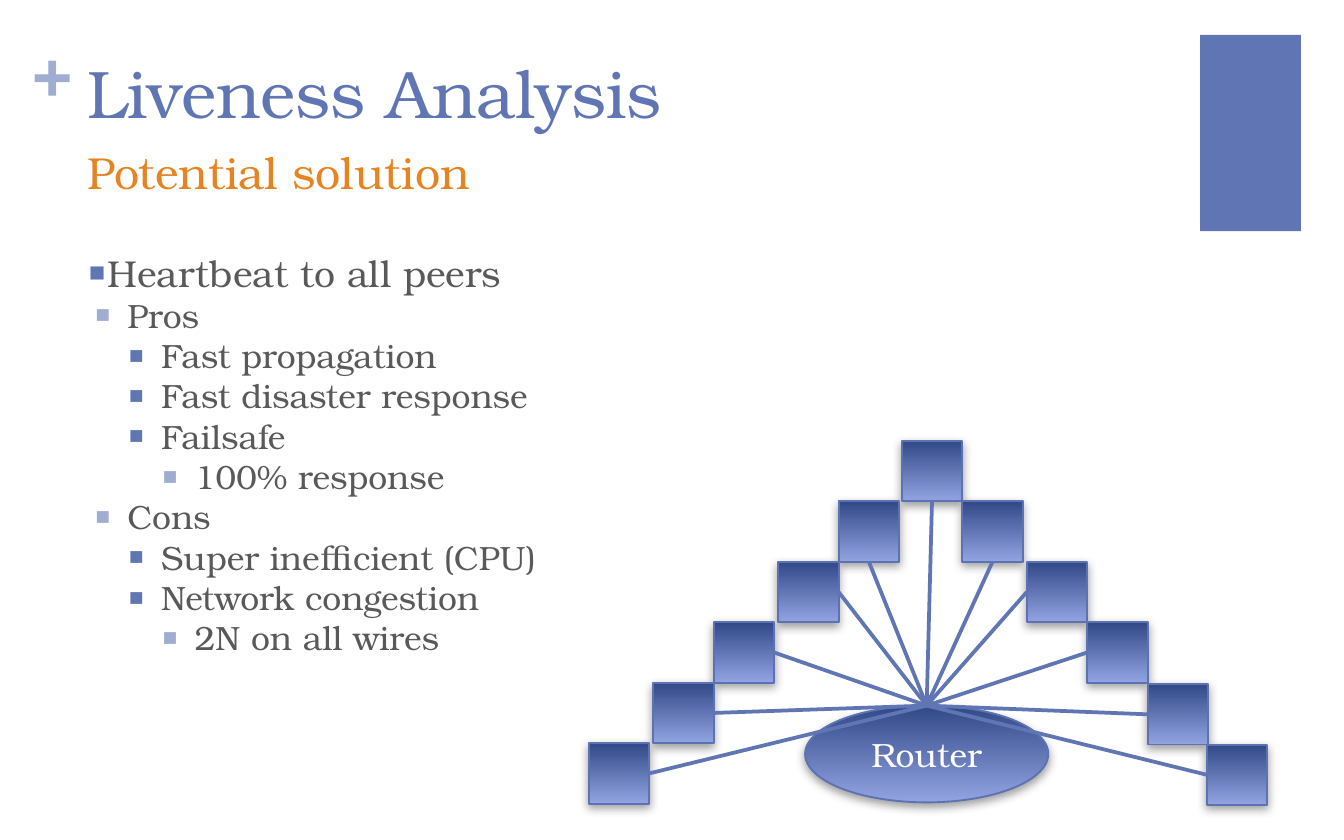
from lxml.etree import SubElement
from pptx import Presentation
from pptx.dml.color import RGBColor
from pptx.enum.shapes import MSO_CONNECTOR, MSO_SHAPE
from pptx.enum.text import MSO_ANCHOR, PP_ALIGN
from pptx.oxml.ns import qn
from pptx.util import Emu, Pt

FONT = "TeX Gyre Bonum"
BLUE, PALE, ORANGE, GREY, WHITE = "6076B4", "A0ADD2", "E68422", "595959", "FFFFFF"
EDGE, DARK, LIGHT, SHADOW = "5C72B2", "324987", "92A3E2", "808080"

PEER = 45
PEER_TOP = 328
LEFT_X = [624, 579, 531, 486, 438]
RIGHT_X = [716, 764, 809, 854, 898]
TOP, LEFT, BOTTOM, RIGHT = range(4)

POINTS = [
    (0, "Heartbeat to all peers"),
    (1, "Pros"),
    (2, "Fast propagation"),
    (2, "Fast disaster response"),
    (2, "Failsafe"),
    (3, "100% response"),
    (1, "Cons"),
    (2, "Super inefficient (CPU)"),
    (2, "Network congestion"),
    (3, "2N on all wires"),
]


def px(n):
    """Convert px, 100 to the inch, to EMU."""
    return Emu(n * 9144)


def rgb(value):
    return RGBColor.from_string(value)


def write(p, text, size=18, color=GREY, bold=False, align=None):
    p.alignment = align
    r = p.add_run()
    r.text = text
    r.font.name = FONT
    r.font.size = Pt(size)
    r.font.bold = bold
    r.font.color.rgb = rgb(color)


def add_text_frame(s, x, y, w, h, anchor=MSO_ANCHOR.TOP):
    tf = s.shapes.add_textbox(px(x), px(y), px(w), px(h)).text_frame
    tf.word_wrap = True
    tf.vertical_anchor = anchor
    return tf


def add_bullet(p, level):
    pPr = p._p.get_or_add_pPr()
    pPr.set("marL", str(px(5 + 25 * level)))
    pPr.set("indent", str(px(-25)))
    color = SubElement(pPr, qn("a:buClr"))
    SubElement(color, qn("a:srgbClr"), val=PALE if level % 2 else BLUE)
    SubElement(pPr, qn("a:buSzPct"), val="75000")
    SubElement(pPr, qn("a:buFont"), typeface=FONT)
    SubElement(pPr, qn("a:buChar"), char="■")


def add_bullet_list(s, points):
    tf = add_text_frame(s, 55, 181, 826, 378)
    for i, (level, text) in enumerate(points):
        p = tf.add_paragraph() if i else tf.paragraphs[0]
        p.level = level
        add_bullet(p, level)
        write(p, text, size=18 if level else 20)


def add_block(s, x, y, w, h):
    sp = s.shapes.add_shape(MSO_SHAPE.RECTANGLE, px(x), px(y), px(w), px(h))
    sp.shadow.inherit = False
    sp.fill.solid()
    sp.fill.fore_color.rgb = rgb(BLUE)
    sp.line.fill.background()


def add_node(s, kind, x, y, w, h):
    """Add a shape with a vertical gradient and a soft shadow."""
    sp = s.shapes.add_shape(kind, px(x), px(y), px(w), px(h))
    sp.fill.gradient()
    sp.fill.gradient_angle = 270
    for stop, color in zip(sp.fill.gradient_stops, (DARK, LIGHT)):
        stop.color.rgb = rgb(color)
    sp.line.color.rgb = rgb(EDGE)
    sp.line.width = Pt(1)
    sp.shadow.inherit = False
    effects = sp._element.spPr.find(qn("a:effectLst"))
    shadow = SubElement(effects, qn("a:outerShdw"), blurRad=str(Pt(5)),
                        dist=str(Pt(2)), dir="5400000", rotWithShape="0")
    color = SubElement(shadow, qn("a:srgbClr"), val=SHADOW)
    SubElement(color, qn("a:alpha"), val="75000")
    return sp


def add_peers(s):
    """Add the pyramid of peers; return each with the side its wire leaves from."""
    spots = [(671, PEER_TOP, BOTTOM)]
    for row, (left, right) in enumerate(zip(LEFT_X, RIGHT_X)):
        y = PEER_TOP + PEER * (row + 1)
        spots.append((left, y, RIGHT if row else BOTTOM))
        spots.append((right, y + (row > 2), LEFT if row else BOTTOM))
    return [(add_node(s, MSO_SHAPE.RECTANGLE, x, y, PEER, PEER), side)
            for x, y, side in spots]


def add_wire(s, peer, side, router):
    c = s.shapes.add_connector(MSO_CONNECTOR.STRAIGHT, 0, 0, 0, 0)
    c.begin_connect(peer, side)
    c.end_connect(router, TOP)
    c.line.color.rgb = rgb(BLUE)
    c.line.width = Pt(2)
    SubElement(c._element.spPr, qn("a:effectLst"))


def main():
    prs = Presentation()
    prs.slide_width, prs.slide_height = px(1000), px(625)
    s = prs.slides.add_slide(prs.slide_layouts[6])

    add_block(s, 893, 26, 75, 146)
    tf = add_text_frame(s, 24, 21, 29, 61)
    tf.margin_left = tf.margin_right = tf.margin_top = tf.margin_bottom = 0
    write(tf.paragraphs[0], "+", size=36, color=PALE, bold=True)

    tf = add_text_frame(s, 55, 12, 826, 91, anchor=MSO_ANCHOR.BOTTOM)
    write(tf.paragraphs[0], "Liveness Analysis", size=36, color=BLUE)
    add_bullet_list(s, POINTS)
    tf = add_text_frame(s, 55, 103, 827, 71)
    write(tf.paragraphs[0], "Potential solution", size=24, color=ORANGE)

    peers = add_peers(s)
    router = add_node(s, MSO_SHAPE.OVAL, 599, 525, 181, 72)
    router.text_frame.vertical_anchor = MSO_ANCHOR.MIDDLE
    write(router.text_frame.paragraphs[0], "Router", color=WHITE, align=PP_ALIGN.CENTER)
    for peer, side in peers:
        add_wire(s, peer, side, router)

    prs.save("out.pptx")


if __name__ == "__main__":
    main()
